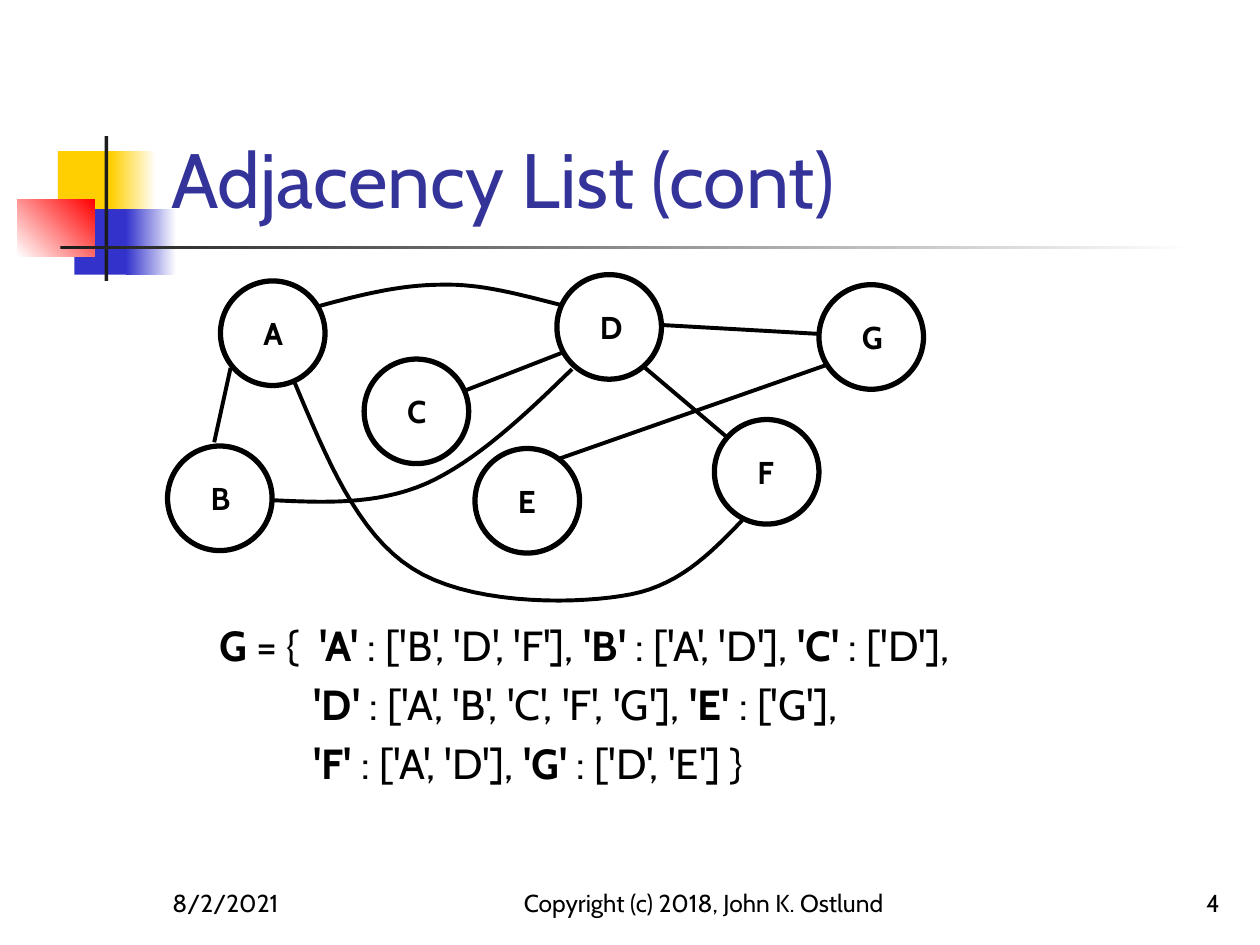
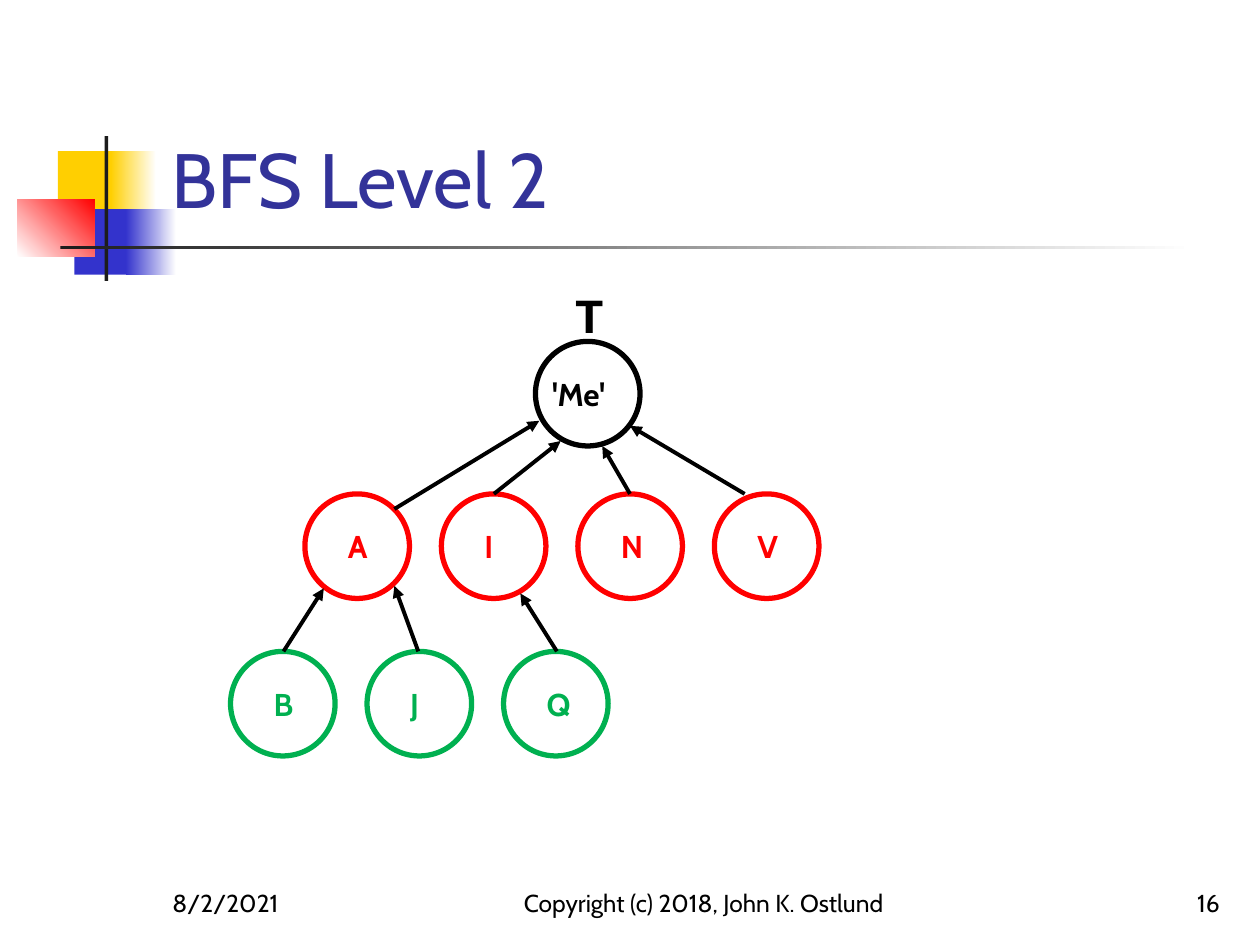
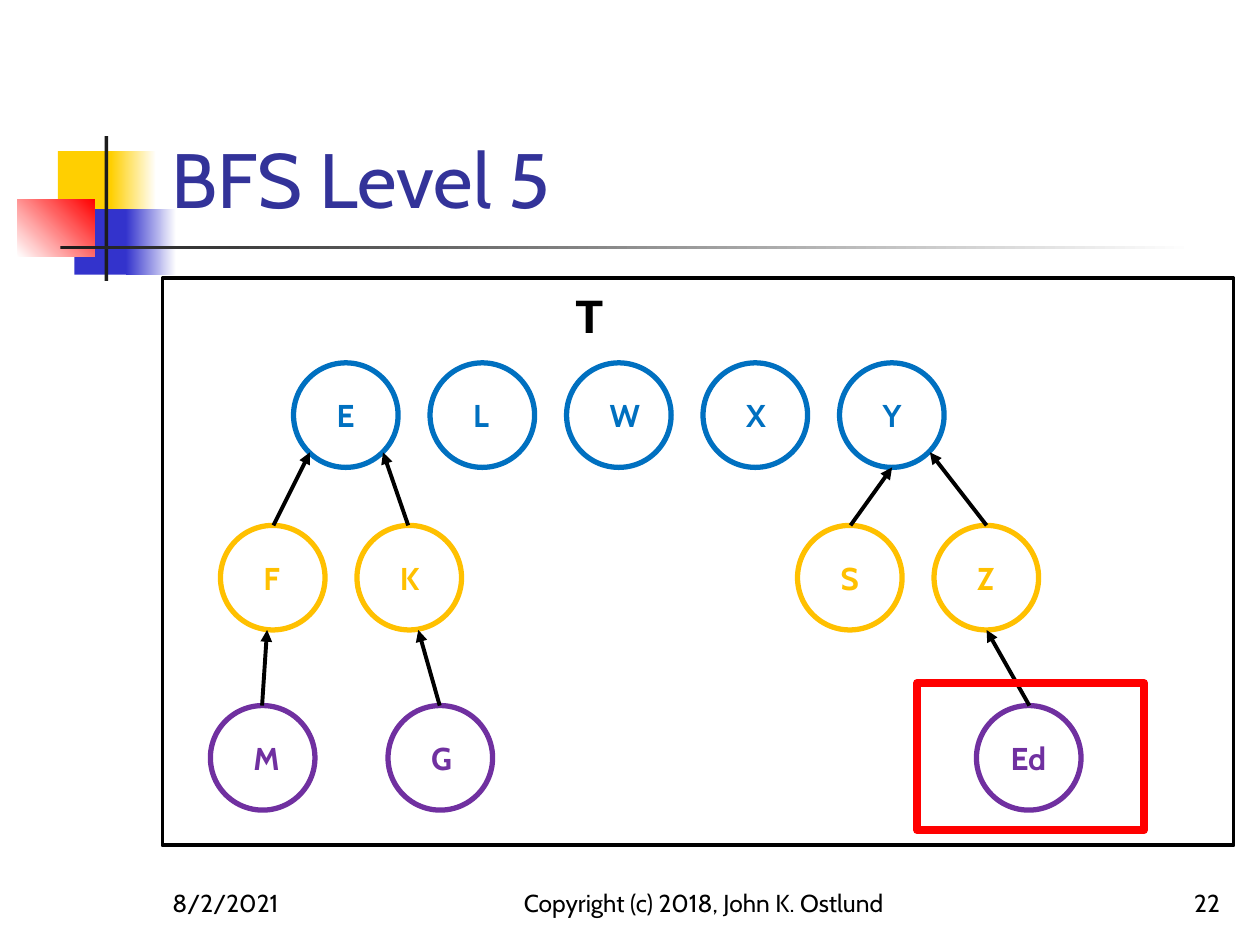
from pptx import Presentation
from pptx.dml.color import RGBColor
from pptx.enum.shapes import MSO_CONNECTOR, MSO_SHAPE
from pptx.enum.text import MSO_ANCHOR, PP_ALIGN
from pptx.oxml.ns import qn
from pptx.util import Inches, Pt
from lxml import etree

RECTANGLE, OVAL = MSO_SHAPE.RECTANGLE, MSO_SHAPE.OVAL
STRAIGHT = MSO_CONNECTOR.STRAIGHT
BOTTOM, MIDDLE, TOP = MSO_ANCHOR.BOTTOM, MSO_ANCHOR.MIDDLE, MSO_ANCHOR.TOP
LEFT, CENTER, RIGHT = PP_ALIGN.LEFT, PP_ALIGN.CENTER, PP_ALIGN.RIGHT

BLACK = RGBColor(0x00, 0x00, 0x00)
WHITE = RGBColor(0xFF, 0xFF, 0xFF)
CHARCOAL = RGBColor(0x1C, 0x1C, 0x1C)
INDIGO = RGBColor(0x33, 0x33, 0x99)
ROYAL = RGBColor(0x33, 0x33, 0xCC)
YELLOW = RGBColor(0xFF, 0xCF, 0x01)
RED = RGBColor(0xFF, 0x00, 0x00)
GREEN = RGBColor(0x00, 0xB0, 0x50)
BLUE = RGBColor(0x00, 0x70, 0xC0)
AMBER = RGBColor(0xFF, 0xC0, 0x00)
PURPLE = RGBColor(0x70, 0x30, 0xA0)

FONT, MONO = "Cabin", "Courier New"
NODE_SIZE = 0.83
NODE_PITCH = 13 / 12
LABEL_INSET = 0.22
WIDE_LABEL_INSETS = {"'Me'": 0.01, "Ed": 0.15}
CURVE_STEPS = 16

# Left, top, width, height, start colour, end colour, gradient angle
DECORATION = [
    (0.46, 1.2, 0.48, 0.52, YELLOW, None, 0),
    (0.88, 1.2, 0.36, 0.52, YELLOW, WHITE, 0),
    (0.59, 1.66, 0.46, 0.52, ROYAL, None, 0),
    (1, 1.66, 0.4, 0.52, ROYAL, WHITE, 0),
    (0.14, 1.58, 0.61, 0.46, WHITE, RED, 45),
    (0.83, 1.08, 0.03, 1.15, CHARCOAL, None, 0),
    (0.48, 1.95, 9, 0.03, CHARCOAL, WHITE, 0),
]

ADJACENCY = [
    [("'A'", ["B", "D", "F"]), ("'B'", ["A", "D"]), ("'C'", ["D"])],
    [("'D'", ["A", "B", "C", "F", "G"]), ("'E'", ["G"])],
    [("'F'", ["A", "D"]), ("'G'", ["D", "E"])],
]

# Rows: colour, top, left of the first node, labels
# Links: start x, start y, end x, end y; arrows point at the start
# Curves: a start point, then three Bezier points for each segment
SLIDES = [
    {
        "title": "Adjacency List (cont)", "number": "4", "tree": False, "framed": False,
        "rows": [
            (BLACK, 2.23, 1.75, ["A"]), (BLACK, 2.85, 2.89, ["C"]),
            (BLACK, 3.54, 1.33, ["B"]), (BLACK, 3.56, 3.77, ["E"]),
            (BLACK, 2.18, 4.42, ["D"]), (BLACK, 3.33, 5.67, ["F"]),
            (BLACK, 2.26, 6.5, ["G"]),
        ],
        "links": [
            (1.83, 2.92, 1.7, 3.51), (5.12, 2.92, 5.77, 3.47), (5.26, 2.58, 6.5, 2.65),
            (4.44, 3.64, 6.55, 2.9), (3.69, 3.1, 4.46, 2.8),
        ],
        "curves": [
            [(2.53, 2.43), (2.86, 2.34), (3.18, 2.26), (3.5, 2.26),
             (3.82, 2.25), (4.13, 2.34), (4.45, 2.42)],
            [(2.34, 3.04), (2.59, 3.63), (2.83, 4.23), (3.27, 4.51), (3.7, 4.79),
             (4.49, 4.8), (4.93, 4.73), (5.37, 4.67), (5.63, 4.4), (5.89, 4.13)],
            [(2.15, 3.97), (2.57, 3.99), (2.98, 4.01), (3.38, 3.84),
             (3.78, 3.66), (4.16, 3.3), (4.54, 2.93)],
        ],
    },
    {
        "title": "BFS Level 2", "number": "16", "tree": True, "framed": False,
        "rows": [
            (BLACK, 2.71, 4.25, ["'Me'"]),
            (RED, 3.92, 2.42, ["A", "I", "N", "V"]),
            (GREEN, 5.17, 1.83, ["B", "J", "Q"]),
        ],
        "links": [
            (4.28, 3.34, 3.13, 4.04), (4.45, 3.5, 3.92, 3.92), (4.78, 3.54, 5, 3.92),
            (5, 3.38, 5.91, 3.92), (2.57, 4.67, 2.25, 5.17), (3.13, 4.65, 3.32, 5.17),
            (4.13, 4.71, 4.42, 5.17),
        ],
        "curves": [],
    },
    {
        "title": "BFS Level 5", "number": "22", "tree": True, "framed": True,
        "rows": [
            (BLUE, 2.88, 2.33, ["E", "L", "W", "X", "Y"]),
            (AMBER, 4.17, 1.75, ["F", "K"]), (AMBER, 4.17, 6.33, ["S", "Z"]),
            (PURPLE, 5.6, 1.67, ["M"]), (PURPLE, 5.6, 3.08, ["G"]),
            (PURPLE, 5.6, 7.75, ["Ed"]),
        ],
        "links": [
            (2.46, 3.59, 2.17, 4.17), (3.04, 3.59, 3.24, 4.17), (7.08, 3.71, 6.75, 4.17),
            (7.38, 3.59, 7.83, 4.17), (2.12, 5, 2.08, 5.6), (3.32, 5, 3.49, 5.6),
            (7.83, 5, 8.17, 5.6),
        ],
        "curves": [],
    },
]


def add_outline(page, preset, left, top, width, height, color, weight):
    """Add an unfilled preset shape with a coloured outline."""
    shape = page.shapes.add_shape(
        preset, Inches(left), Inches(top), Inches(width), Inches(height))
    shape.shadow.inherit = False
    shape.fill.background()
    shape.line.color.rgb = color
    shape.line.width = Pt(weight)
    return shape


def write(shape, lines, size, color=BLACK, font=FONT, align=LEFT, anchor=TOP):
    """Fill a shape with lines, each a list of (text, bold) runs."""
    frame = shape.text_frame
    frame.word_wrap = True
    frame.vertical_anchor = anchor
    for index, runs in enumerate(lines):
        para = frame.add_paragraph() if index else frame.paragraphs[0]
        para.alignment = align
        for text, bold in runs:
            span = para.add_run()
            span.text = text
            span.font.name = font
            span.font.size = Pt(size)
            span.font.bold = bold
            span.font.color.rgb = color
    return frame


deck = Presentation()
deck.slide_width, deck.slide_height = Inches(10), Inches(7.5)

for content in SLIDES:
    page = deck.slides.add_slide(deck.slide_layouts[6])

    for left, top, width, height, start, end, angle in DECORATION:
        block = page.shapes.add_shape(
            RECTANGLE, Inches(left), Inches(top), Inches(width), Inches(height))
        block.shadow.inherit = False
        block.line.fill.background()
        if end is None:
            block.fill.solid()
            block.fill.fore_color.rgb = start
        else:
            block.fill.gradient()
            block.fill.gradient_angle = angle
            for stop, color, position in zip(block.fill.gradient_stops, (start, end), (0, 1)):
                stop.color.rgb = color
                stop.position = position

    for left, top, width, height, text, size, color, align in [
        (1.26, 0.23, 8.52, 1.6, content["title"], 44, INDIGO, LEFT),
        (1.27, 6.83, 2.08, 0.5, "8/2/2021", 14, BLACK, LEFT),
        (4, 6.83, 3.17, 0.5, "Copyright (c) 2018, John K. Ostlund", 14, BLACK, CENTER),
        (7.7, 6.83, 2.08, 0.5, content["number"], 14, BLACK, RIGHT),
    ]:
        box = page.shapes.add_textbox(
            Inches(left), Inches(top), Inches(width), Inches(height))
        write(box, [[(text, False)]], size, color, align=align, anchor=BOTTOM)

    if content["tree"]:
        body = add_outline(page, RECTANGLE, 1.29, 2.21, 8.5, 4.5, BLACK, 2.25)
        if content["framed"]:
            body.fill.solid()
            body.fill.fore_color.rgb = WHITE
        else:
            body.line.fill.background()
        frame = write(body, [[("T", True)]], 28, font=MONO)
        frame.margin_left = Inches(3.27)
    else:
        lines = []
        for number, entries in enumerate(ADJACENCY):
            last_line = number == len(ADJACENCY) - 1
            runs = [] if number else [("G", True), (" = {", False), (" ", False)]
            for position, (key, neighbours) in enumerate(entries):
                last_entry = position == len(entries) - 1
                ending = ", " if not last_entry else " }" if last_line else ","
                listed = ", ".join(f"'{name}'" for name in neighbours)
                runs += [(key, True), (f" : [{listed}]{ending}", False)]
            lines.append(runs)
        body = page.shapes.add_textbox(Inches(1.64), Inches(4.87), Inches(8.15), Inches(1.5))
        frame = write(body, lines, 24)
        for number, para in enumerate(frame.paragraphs):
            properties = para._p.get_or_add_pPr()
            properties.set("marL", str(Inches(0.75)))
            properties.set("indent", str(0 if number else -Inches(0.75)))
            para.space_before = Pt(4.8 if number else 0)
        # Widen the gap after the opening brace
        frame.paragraphs[0].runs[2].font._element.set("spc", "600")

    for color, top, row_left, labels in content["rows"]:
        for column, label in enumerate(labels):
            node = add_outline(page, OVAL, row_left + column * NODE_PITCH, top,
                               NODE_SIZE, NODE_SIZE, color, 3)
            frame = write(node, [[(label, True)]], 18, color, anchor=MIDDLE)
            frame.margin_left = Inches(WIDE_LABEL_INSETS.get(label, LABEL_INSET))
            frame.margin_right = frame.margin_top = frame.margin_bottom = 0

    for link in content["links"]:
        line = page.shapes.add_connector(STRAIGHT, *[Inches(value) for value in link])
        line.line.color.rgb = BLACK
        line.line.width = Pt(2.25)
        if content["tree"]:
            etree.SubElement(line.line._get_or_add_ln(), qn("a:headEnd"), type="triangle")
        etree.SubElement(line._element.spPr, qn("a:effectLst"))

    for points in content["curves"]:
        vertices = []
        for first in range(0, len(points) - 1, 3):
            for step in range(1, CURVE_STEPS + 1):
                t = step / CURVE_STEPS
                weights = ((1 - t) ** 3, 3 * t * (1 - t) ** 2, 3 * t ** 2 * (1 - t), t ** 3)
                segment = list(zip(weights, points[first:first + 4]))
                vertices.append(tuple(
                    Inches(sum(weight * point[axis] for weight, point in segment))
                    for axis in (0, 1)))
        builder = page.shapes.build_freeform(Inches(points[0][0]), Inches(points[0][1]))
        builder.add_line_segments(vertices, close=False)
        curve = builder.convert_to_shape()
        curve.shadow.inherit = False
        curve.fill.background()
        curve.line.color.rgb = BLACK
        curve.line.width = Pt(2.25)

    if content["framed"]:
        add_outline(page, RECTANGLE, 7.28, 5.42, 1.8, 1.17, RED, 4.5)

deck.save("out.pptx")
